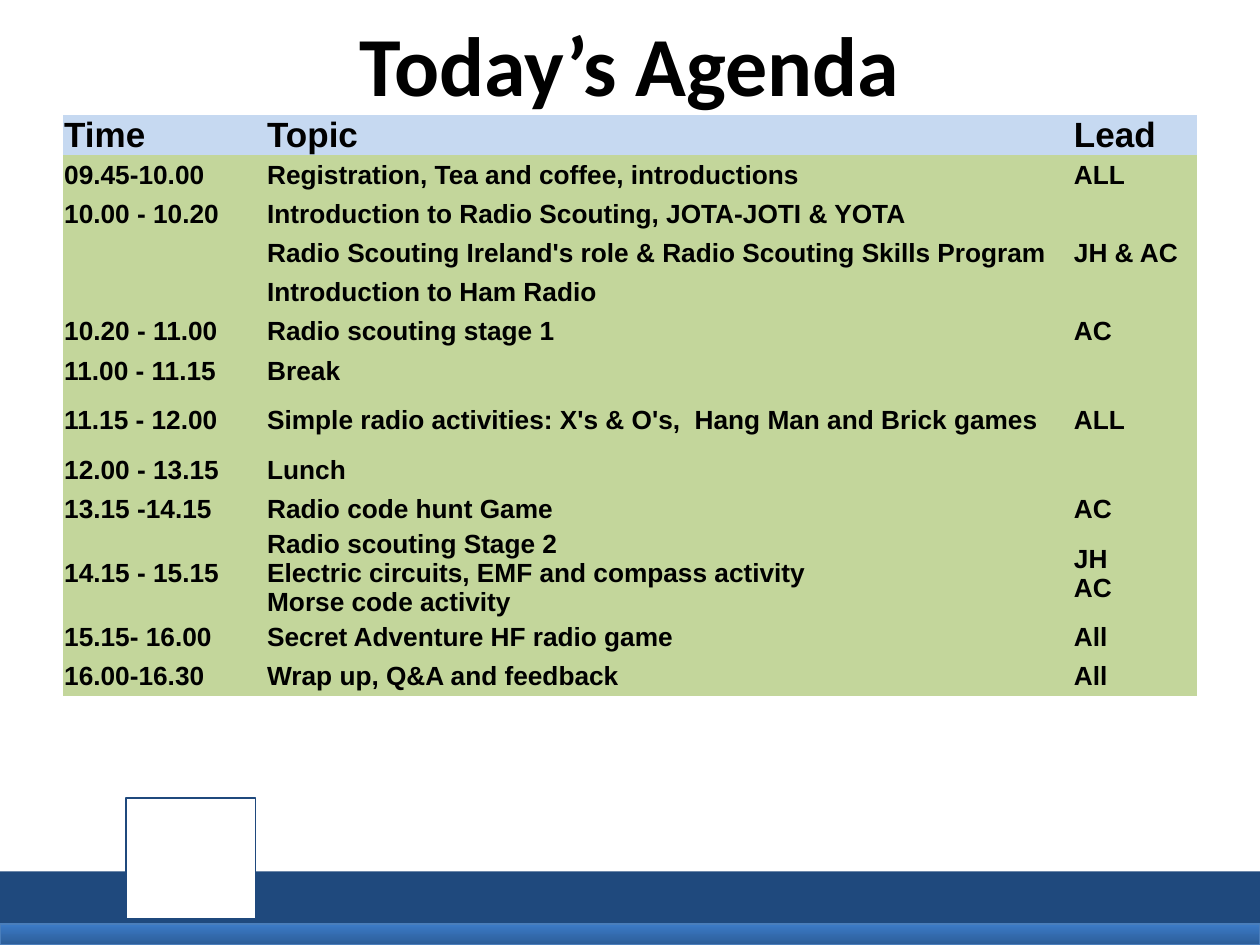
from dataclasses import dataclass
from lxml.etree import SubElement
from pptx import Presentation
from pptx.dml.color import RGBColor
from pptx.enum.shapes import MSO_SHAPE
from pptx.enum.text import MSO_ANCHOR, PP_ALIGN
from pptx.oxml.ns import qn
from pptx.util import Pt

BLUE = "1F497D"
HEAD = "C6D9F1"
BODY = "C3D69B"
BLACK = "000000"
NO_GRID = "{2D5ABB26-0587-4C30-8999-92F81FD0307C}"


@dataclass
class Slot:
    time: str
    topic: str
    lead: str = ""
    height: float = 22.4
    size: int = 15
    fill: str = BODY


@dataclass
class Block:
    left: float
    top: float
    width: float
    height: float
    fill: str
    line: str = ""
    fade: str = ""


SLOTS = [
    Slot("Time", "Topic", "Lead", size=20, fill=HEAD),
    Slot("09.45-10.00", "Registration, Tea and coffee, introductions", "ALL"),
    Slot("10.00 - 10.20", "Introduction to Radio Scouting, JOTA-JOTI & YOTA", "JH & AC"),
    Slot("", "Radio Scouting Ireland's role & Radio Scouting Skills Program"),
    Slot("", "Introduction to Ham Radio"),
    Slot("10.20 - 11.00", "Radio scouting stage 1", "AC"),
    Slot("11.00 - 11.15", "Break"),
    Slot("11.15 - 12.00", "Simple radio activities: X's & O's,  Hang Man and Brick games", "ALL", 34.4),
    Slot("12.00 - 13.15", "Lunch"),
    Slot("13.15 -14.15", "Radio code hunt Game", "AC"),
    Slot("14.15 - 15.15",
         "Radio scouting Stage 2\vElectric circuits, EMF and compass activity\nMorse code activity",
         "JH\vAC", 44.8),
    Slot("15.15- 16.00", "Secret Adventure HF radio game", "All"),
    Slot("16.00-16.30", "Wrap up, Q&A and feedback", "All"),
]
BLOCKS = [
    Block(0, 498, 720, 30, BLUE),
    Block(0, 528, 720, 12, "3C7BC7", "4A7EBB", "2C5D98"),
    Block(72, 456, 74, 69, "FFFFFF", BLUE),
]
WIDTHS = [116, 461, 71]


def tint(code: str) -> RGBColor:
    return RGBColor.from_string(code)


def add_run(para, text: str, face: str, size: float) -> None:
    run = para.add_run()
    run.text = text
    run.font.name = face
    run.font.size = Pt(size)
    run.font.bold = True
    run.font.color.rgb = tint(BLACK)


def draw_block(slide, block: Block) -> None:
    shape = slide.shapes.add_shape(
        MSO_SHAPE.RECTANGLE, Pt(block.left), Pt(block.top), Pt(block.width), Pt(block.height))
    shape.shadow.inherit = False
    if block.fade:
        shape.fill.gradient()
        shape.fill.gradient_angle = 270
        for stop, code in zip(shape.fill.gradient_stops, (block.fill, block.fade)):
            stop.color.rgb = tint(code)
    else:
        shape.fill.solid()
        shape.fill.fore_color.rgb = tint(block.fill)
    if block.line:
        shape.line.color.rgb = tint(block.line)
        shape.line.width = Pt(0.75)
    else:
        shape.line.fill.background()


def fill_cell(cell, text: str, slot: Slot) -> None:
    cell.fill.solid()
    cell.fill.fore_color.rgb = tint(slot.fill)
    cell.vertical_anchor = MSO_ANCHOR.MIDDLE
    cell.margin_left = cell.margin_right = cell.margin_top = Pt(0.7)
    cell.margin_bottom = Pt(0)
    frame = cell.text_frame
    for i, part in enumerate(text.split("\n")):
        para = frame.add_paragraph() if i else frame.paragraphs[0]
        for j, line in enumerate(part.split("\v")):
            if j:
                para.add_line_break()
            if line:
                add_run(para, line, "Arial", slot.size)
        SubElement(para._p, qn("a:endParaRPr"), sz=str(slot.size * 100))


def draw_table(slide, slots: list[Slot]) -> None:
    frame = slide.shapes.add_table(
        len(slots), len(WIDTHS), Pt(36), Pt(65.5), Pt(sum(WIDTHS)),
        Pt(sum(slot.height for slot in slots)))
    table = frame.table
    table.first_row = table.horz_banding = False
    table._tbl.tblPr.find(qn("a:tableStyleId")).text = NO_GRID
    for col, width in zip(table.columns, WIDTHS):
        col.width = Pt(width)
    for row, slot in zip(table.rows, slots):
        row.height = Pt(slot.height)
        for cell, text in zip(row.cells, (slot.time, slot.topic, slot.lead)):
            fill_cell(cell, text, slot)
    table.cell(2, 2).merge(table.cell(4, 2))


def draw_title(slide, text: str) -> None:
    title = slide.shapes.title
    title.left, title.top, title.width, title.height = Pt(36), Pt(0), Pt(648), Pt(72)
    title.text_frame.vertical_anchor = MSO_ANCHOR.MIDDLE
    para = title.text_frame.paragraphs[0]
    para.alignment = PP_ALIGN.CENTER
    add_run(para, text, "Calibri", 48)


def main() -> None:
    deck = Presentation()
    deck.slide_width, deck.slide_height = Pt(720), Pt(540)
    slide = deck.slides.add_slide(deck.slide_layouts[5])
    for block in BLOCKS:
        draw_block(slide, block)
    draw_title(slide, "Today’s Agenda")
    draw_table(slide, SLOTS)
    deck.save("out.pptx")


if __name__ == "__main__":
    main()
